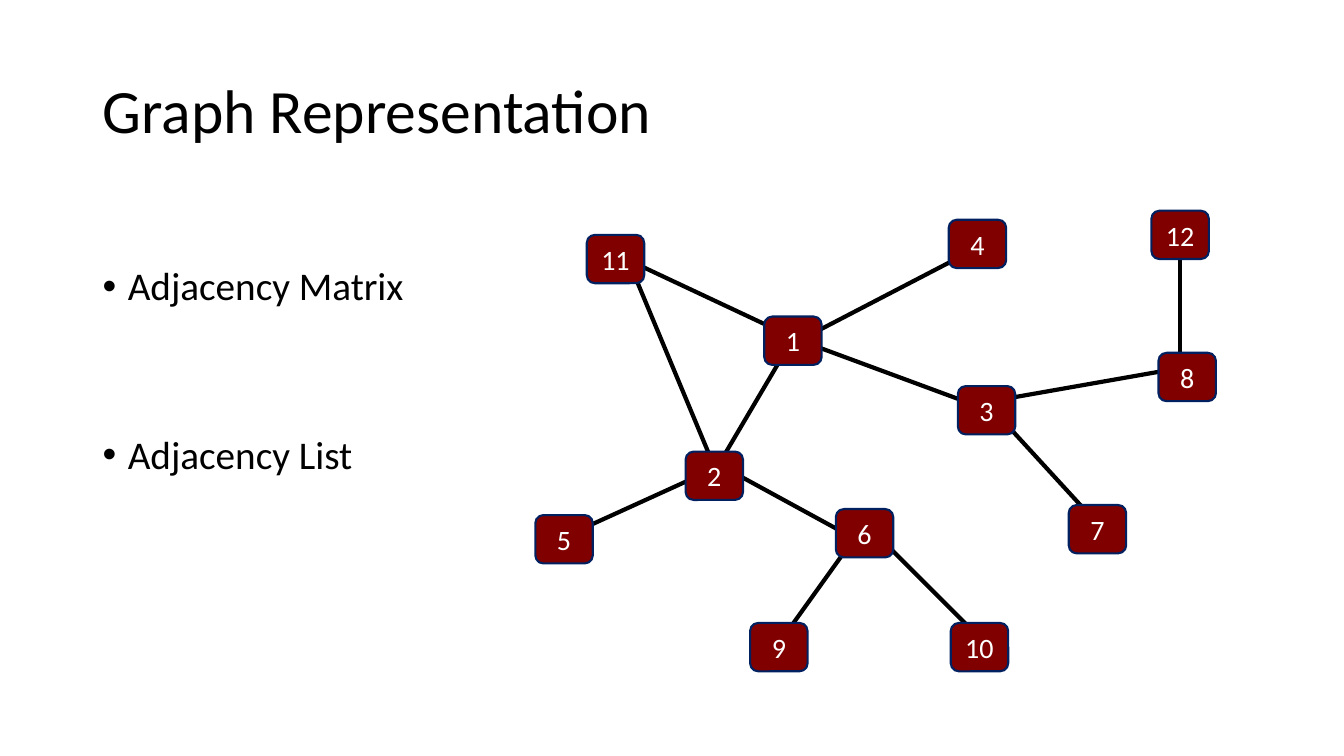
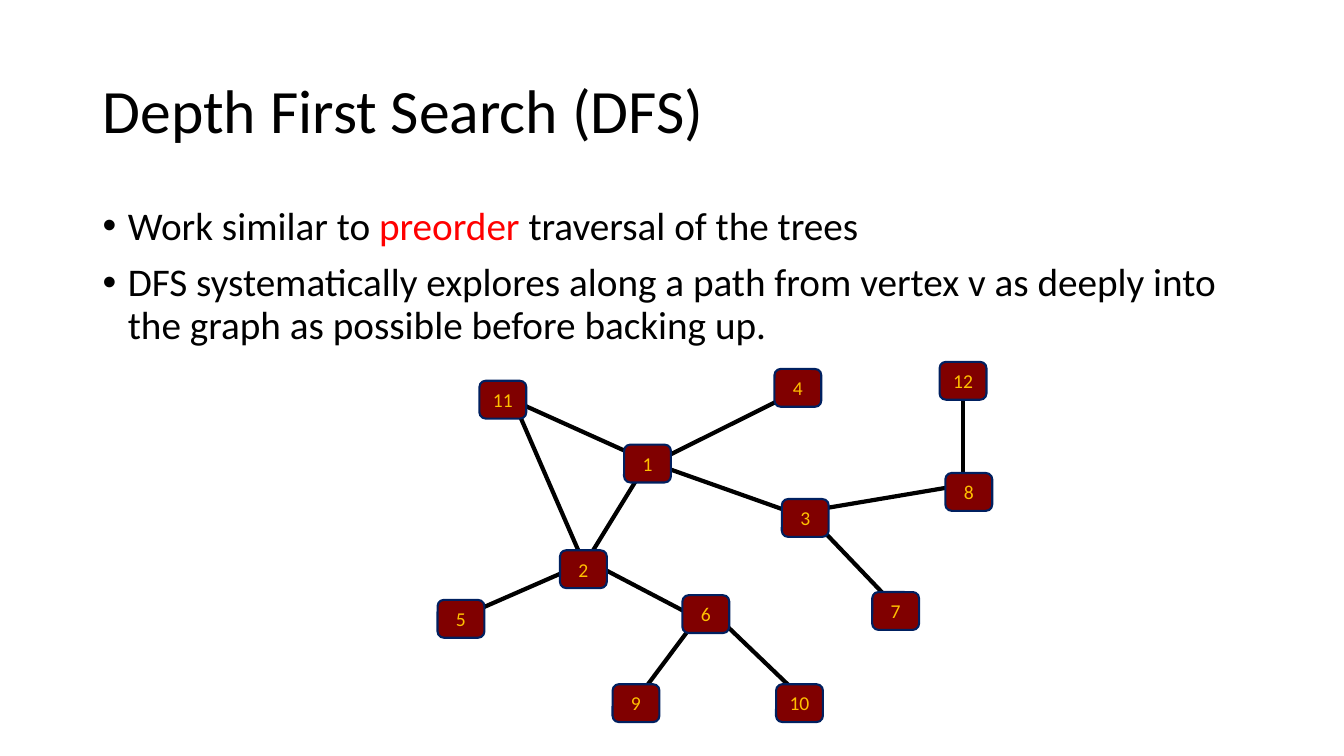
import pptx
import pptx.util
import pptx.dml.color
import pptx.enum.shapes
import pptx.enum.text
from pptx.oxml.xmlchemy import OxmlElement

Inches, Pt = pptx.util.Inches, pptx.util.Pt
RGB = pptx.dml.color.RGBColor.from_string
ANCHOR, ALIGN = pptx.enum.text.MSO_ANCHOR, pptx.enum.text.PP_ALIGN


# Shared look
class Theme:
    font = "Calibri"
    text, accent = RGB("000000"), RGB("FF0000")
    node_fill, node_line = RGB("800000"), RGB("002060")
    title_size, body_size = Pt(44), Pt(28)
    edge_width, node_border = Pt(3), Pt(1.5)
    line_spacing = 0.9


# Graph, in inches as laid out at full size
GRAPH_LEFT, GRAPH_TOP = 5.31, 2.09
NODE_W, NODE_H = 0.57, 0.48
NODES = {
    "1": (7.58, 3.14), "4": (9.41, 2.18), "11": (5.82, 2.33), "2": (6.8, 4.48),
    "5": (5.31, 5.11), "6": (8.29, 5.05), "9": (7.44, 6.18), "10": (9.43, 6.18),
    "3": (9.5, 3.83), "7": (10.6, 5.01), "8": (11.49, 3.5), "12": (11.42, 2.09),
}
EDGES = [
    (7.94, 3.38, 9.78, 4.06),    # 1 - 3
    (6.23, 2.58, 7.87, 3.35),    # 11 - 1
    (7.08, 4.69, 7.87, 3.35),    # 2 - 1
    (6.23, 2.58, 7.08, 4.62),    # 11 - 2
    (5.59, 5.33, 7.15, 4.62),    # 5 - 2
    (7.15, 4.62, 8.58, 5.4),     # 2 - 6
    (7.72, 6.39, 8.58, 5.19),    # 9 - 6
    (8.58, 5.19, 9.78, 6.39),    # 6 - 10
    (7.98, 3.35, 9.5, 2.56),     # 1 - 4
    (9.78, 3.99, 10.88, 5.19),   # 3 - 7
    (9.78, 3.99, 11.77, 3.64),   # 3 - 8
    (11.7, 3.64, 11.7, 2.3),     # 8 - 12
]

# Slides: each bullet is a list of (text, colour) runs;
# the graph is placed by its top-left corner and its scale
SLIDES = [
    dict(title="Graph Representation",
         bullets=[[("Adjacency Matrix", Theme.text)],
                  [("Adjacency List", Theme.text)]],
         body_top=2.6, gap=Pt(90),
         left=GRAPH_LEFT, top=GRAPH_TOP, scale_x=1, scale_y=1,
         label_size=Pt(20), label_color=RGB("FFFFFF")),
    dict(title="Depth First Search (DFS)",
         bullets=[[("Work similar to ", Theme.text), ("preorder", Theme.accent),
                   (" traversal of the trees", Theme.text)],
                  [("DFS systematically explores along a path from vertex v as deeply "
                    "into the graph as possible before backing up.", Theme.text)]],
         body_top=2, gap=Pt(10),
         left=4.34, top=3.59, scale_x=0.815, scale_y=0.782,
         label_size=Pt(14), label_color=RGB("FFC000")),
]


def add_text_box(s, top, height, anchor):
    tf = s.shapes.add_textbox(Inches(0.92), Inches(top), Inches(11.5), Inches(height)).text_frame
    tf.word_wrap = True
    tf.vertical_anchor = anchor
    return tf


def set_font(r, size, color):
    r.font.name, r.font.size, r.font.color.rgb = Theme.font, size, color


prs = pptx.Presentation()
prs.slide_width, prs.slide_height = Inches(13.33), Inches(7.5)

for page in SLIDES:
    s = prs.slides.add_slide(prs.slide_layouts[6])

    # Title
    tf = add_text_box(s, 0.4, 1.45, ANCHOR.MIDDLE)
    tf.text = page["title"]
    p = tf.paragraphs[0]
    p.line_spacing = Theme.line_spacing
    set_font(p.runs[0], Theme.title_size, Theme.text)

    # Bullets
    tf = add_text_box(s, page["body_top"], 6.76 - page["body_top"], ANCHOR.TOP)
    for i, runs in enumerate(page["bullets"]):
        p = tf.add_paragraph() if i else tf.paragraphs[0]
        p.line_spacing = Theme.line_spacing
        if i:
            p.space_before = page["gap"]
        pPr = p._p.get_or_add_pPr()
        pPr.set("marL", str(Inches(0.25)))
        pPr.set("indent", str(-Inches(0.25)))
        bullet_font = OxmlElement("a:buFont")
        bullet_font.set("typeface", "Arial")
        bullet = OxmlElement("a:buChar")
        bullet.set("char", "•")
        pPr.extend([bullet_font, bullet])
        for text, color in runs:
            r = p.add_run()
            r.text = text
            set_font(r, Theme.body_size, color)

    # Edges
    left, top, scale_x, scale_y = (page[k] for k in ("left", "top", "scale_x", "scale_y"))
    for edge in EDGES:
        xs = [Inches(left + (x - GRAPH_LEFT) * scale_x) for x in edge[::2]]
        ys = [Inches(top + (y - GRAPH_TOP) * scale_y) for y in edge[1::2]]
        line = s.shapes.add_connector(pptx.enum.shapes.MSO_CONNECTOR.STRAIGHT,
                                      xs[0], ys[0], xs[1], ys[1])
        line.line.color.rgb = Theme.text
        line.line.width = Theme.edge_width
        line._element.spPr.append(OxmlElement("a:effectLst"))

    # Nodes
    for label, (x, y) in NODES.items():
        sp = s.shapes.add_shape(pptx.enum.shapes.MSO_SHAPE.ROUNDED_RECTANGLE,
                                Inches(left + (x - GRAPH_LEFT) * scale_x),
                                Inches(top + (y - GRAPH_TOP) * scale_y),
                                Inches(NODE_W * scale_x), Inches(NODE_H * scale_y))
        sp.shadow.inherit = False
        sp.fill.solid()
        sp.fill.fore_color.rgb = Theme.node_fill
        sp.line.color.rgb = Theme.node_line
        sp.line.width = Theme.node_border
        tf = sp.text_frame
        tf.margin_left = tf.margin_right = tf.margin_top = tf.margin_bottom = 0
        tf.vertical_anchor = ANCHOR.MIDDLE
        tf.text = label
        p = tf.paragraphs[0]
        p.alignment = ALIGN.CENTER
        set_font(p.runs[0], page["label_size"], page["label_color"])

prs.save("out.pptx")
